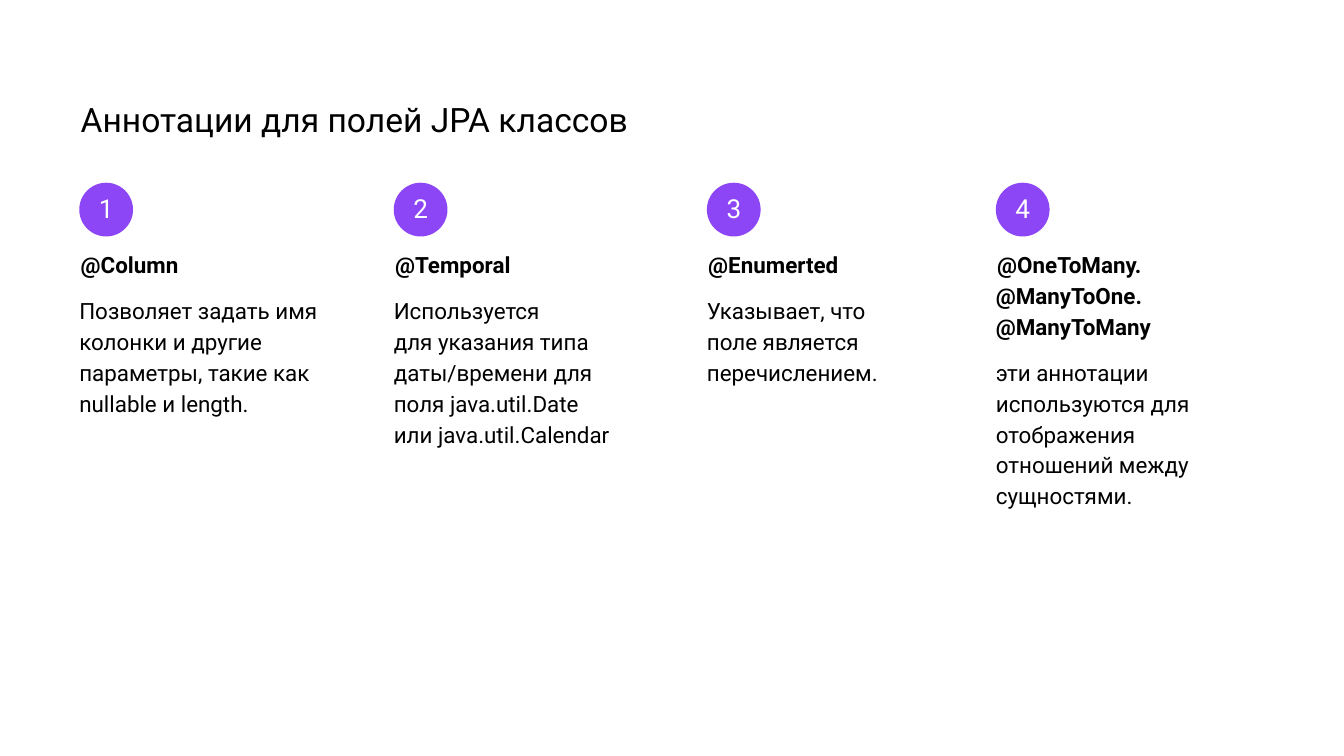
from pptx import Presentation
from pptx.dml.color import RGBColor
from pptx.enum.shapes import MSO_SHAPE
from pptx.enum.text import MSO_ANCHOR, PP_ALIGN
from pptx.util import Inches, Pt

OVAL = MSO_SHAPE.OVAL
TOP, MIDDLE, BOTTOM = MSO_ANCHOR.TOP, MSO_ANCHOR.MIDDLE, MSO_ANCHOR.BOTTOM
CENTER = PP_ALIGN.CENTER

BLACK, WHITE, PURPLE = "000000", "FFFFFF", "8D46F6"

# Grid, in inches
COLUMNS = [0.59, 2.93, 5.26, 7.41]
COLUMN_WIDTH = 1.81
BADGE_TOP, BADGE_SIZE = 1.36, 0.4
NUMBER_TOP, NUMBER_WIDTH, NUMBER_HEIGHT = 1.43, 0.28, 0.24
TEXT_TOP = 1.84

ANNOTATIONS = [
    ("@Column", 1.24,
     "Позволяет задать имя колонки и другие параметры, такие как nullable и length."),
    ("@Temporal", 1.48,
     "Используется \nдля указания типа даты/времени для поля java.util.Date \nили java.util.Calendar"),
    ("@Enumerted", 1.01,
     "Указывает, что \nполе является перечислением."),
    ("@OneToMany. @ManyToOne. @ManyToMany", 1.94,
     "эти аннотации используются для отображения отношений между сущностями."),
]


def color(value):
    return RGBColor.from_string(value)


def add_text(shapes, box, texts, size, fill=BLACK, anchor=TOP, spacing=1.0):
    """Add a text box without insets, one paragraph for each text."""
    shape = shapes.add_textbox(*(Inches(length) for length in box))
    frame = shape.text_frame
    frame.word_wrap = True
    frame.vertical_anchor = anchor
    frame.margin_left = frame.margin_right = frame.margin_top = frame.margin_bottom = 0
    for index, text in enumerate(texts):
        paragraph = frame.add_paragraph() if index else frame.paragraphs[0]
        paragraph.text = text
        paragraph.line_spacing = spacing
        paragraph.font.name = "Roboto"
        paragraph.font.size = Pt(size)
        paragraph.font.color.rgb = color(fill)
    return frame.paragraphs


# Widescreen slide, 16:9
presentation = Presentation()
presentation.slide_width = Inches(10)
presentation.slide_height = Inches(10 * 9 / 16)
slide = presentation.slides.add_slide(presentation.slide_layouts[6])

# Title
add_text(slide.shapes, (0.6, 0.78, 8.82, 0.26), ["Аннотации для полей JPA классов"],
         18, anchor=BOTTOM, spacing=0.85)

for number, (left, (name, height, description)) in enumerate(zip(COLUMNS, ANNOTATIONS), 1):
    # Annotation name and description
    heading, body = add_text(slide.shapes, (left, TEXT_TOP, COLUMN_WIDTH, height),
                             [name, description], 12, spacing=1.15)
    heading.font.bold = True
    heading._p.get_or_add_pPr().set("indent", str(Inches(0.01)))
    body.space_before = Pt(8)

    # Numbered badge
    badge = slide.shapes.add_group_shape()
    circle = badge.shapes.add_shape(OVAL, Inches(left), Inches(BADGE_TOP),
                                    Inches(BADGE_SIZE), Inches(BADGE_SIZE))
    circle.shadow.inherit = False
    circle.fill.solid()
    circle.fill.fore_color.rgb = color(PURPLE)
    circle.line.fill.background()
    number_box = (left + (BADGE_SIZE - NUMBER_WIDTH) / 2, NUMBER_TOP,
                  NUMBER_WIDTH, NUMBER_HEIGHT)
    label, = add_text(badge.shapes, number_box, [str(number)], 14, WHITE, MIDDLE)
    label.alignment = CENTER

presentation.save("out.pptx")
